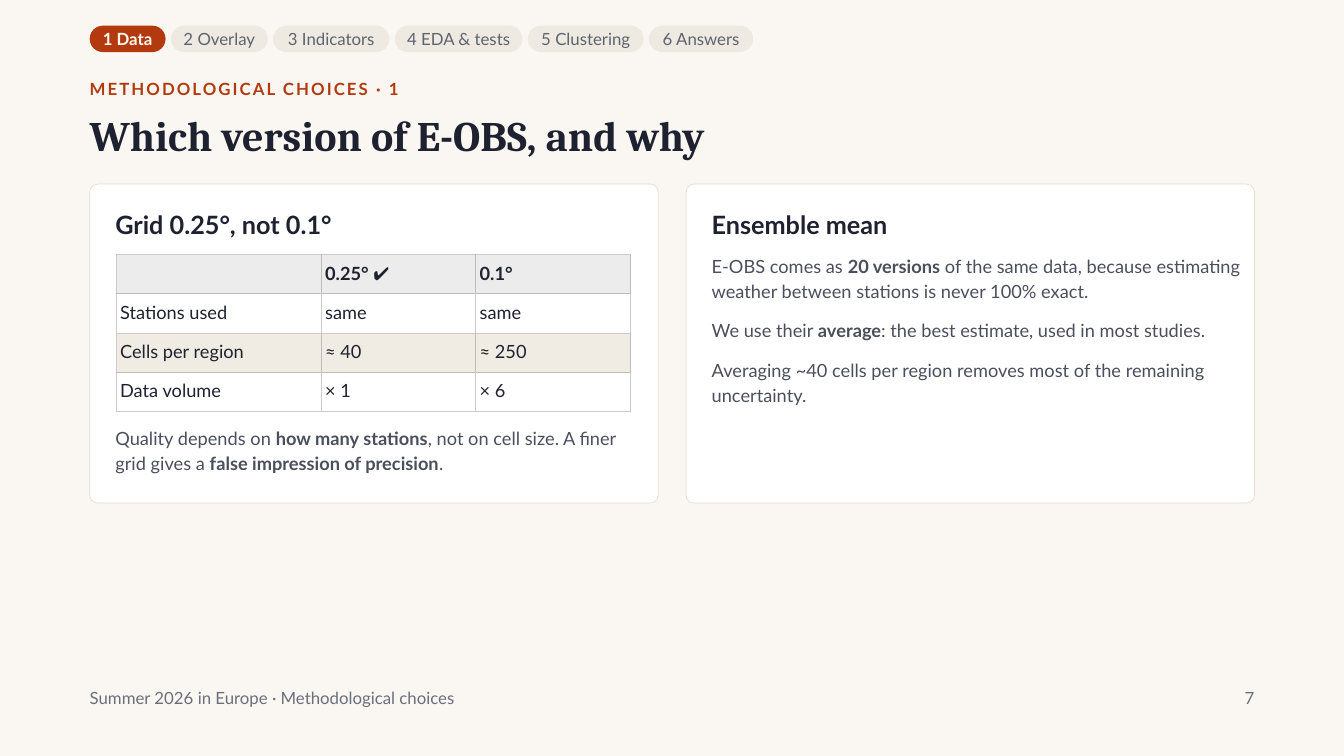
from lxml import etree
from pptx import Presentation
from pptx.dml.color import RGBColor
from pptx.enum.shapes import MSO_SHAPE
from pptx.enum.text import MSO_ANCHOR, PP_ALIGN
from pptx.oxml.ns import qn
from pptx.util import Cm, Pt

ROUND = MSO_SHAPE.ROUNDED_RECTANGLE
MIDDLE = MSO_ANCHOR.MIDDLE
LEFT, CENTER, RIGHT = PP_ALIGN.LEFT, PP_ALIGN.CENTER, PP_ALIGN.RIGHT

PAPER = RGBColor(0xFA, 0xF7, 0xF2)
WHITE = RGBColor(0xFF, 0xFF, 0xFF)
RUST = RGBColor(0xB2, 0x3A, 0x0E)
CREAM = RGBColor(0xFF, 0xF8, 0xF0)
SAND = RGBColor(0xEF, 0xEA, 0xE1)
SLATE = RGBColor(0x5E, 0x63, 0x70)
INK = RGBColor(0x1E, 0x22, 0x30)
BODY = RGBColor(0x4A, 0x4F, 0x5C)
MUTED = RGBColor(0x6B, 0x6F, 0x7B)
EDGE = RGBColor(0xE4, 0xDE, 0xD3)
HEAD = RGBColor(0xEC, 0xEC, 0xEC)
BAND = RGBColor(0xF1, 0xEC, 0xE3)
PALE = RGBColor(0xCB, 0xCB, 0xCB)
GREY = RGBColor(0xBC, 0xBC, 0xBC)
TAN = RGBColor(0xC0, 0xBC, 0xB5)

MARGIN = 3.39
STEPS = [("1 Data", 2.87), ("2 Overlay", 3.66), ("3 Indicators", 4.4),
         ("4 EDA & tests", 4.83), ("5 Clustering", 4.38), ("6 Answers", 3.94)]
STEP_GAP = 0.2
CARD_TOP, CARD_W, CARD_H, CARD_GAP = 6.96, 21.49, 12.06, 1.05
PAD = 0.97
TEXT_W = 20.12

ROWS = [["", "0.25° ✔", "0.1°"],
        ["Stations used", "same", "same"],
        ["Cells per region", "≈ 40", "≈ 250"],
        ["Data volume", "× 1", "× 6"]]
FILLS = [HEAD, None, BAND, None]
TONES = [GREY, PALE, TAN, PALE]
COLS = [7.75, 5.84, 5.84]
ROW_H = 1.48

NOTES = [
    (9.5, TEXT_W, 2.13, "E-OBS comes as *20 versions* of the same data, because "
     "estimating weather between stations is never 100% exact."),
    (11.94, 20.47, 1.17, "We use their *average*: the best estimate, used in most studies."),
    (13.44, TEXT_W, 2.13, "Averaging ~40 cells per region removes most of the "
     "remaining uncertainty."),
]


class Deck:
    font = "Lato"
    serif = "Cambria"

    def __init__(self):
        self.prs = Presentation()
        self.prs.slide_width, self.prs.slide_height = Cm(50.8), Cm(28.58)
        self.slide = self.prs.slides.add_slide(self.prs.slide_layouts[6])
        fill = self.slide.background.fill
        fill.solid()
        fill.fore_color.rgb = PAPER

    def put_runs(self, frame, text, size, color, lead, bold=False, align=LEFT,
                 font=None, track=0):
        para = frame.paragraphs[0]
        para.alignment = align
        para.line_spacing = Pt(lead)
        for i, part in enumerate(text.split("*")):
            run = para.add_run()
            run.text = part
            run.font.name = font or self.font
            run.font.size = Pt(size)
            run.font.bold = bold or i % 2 == 1
            run.font.color.rgb = color
            if track:
                run._r.get_or_add_rPr().set("spc", str(track))

    def inset(self, frame, bottom=0):
        frame.margin_left = frame.margin_right = frame.margin_top = 0
        frame.margin_bottom = Cm(bottom)

    def text(self, x, y, w, h, text, size, color, lead, **look):
        frame = self.slide.shapes.add_textbox(Cm(x), Cm(y), Cm(w), Cm(h)).text_frame
        frame.word_wrap = True
        self.inset(frame)
        self.put_runs(frame, text, size, color, lead, **look)

    def panel(self, x, y, w, h, radius, fill, line=None):
        shape = self.slide.shapes.add_shape(ROUND, Cm(x), Cm(y), Cm(w), Cm(h))
        shape.adjustments[0] = radius
        shape.shadow.inherit = False
        shape.fill.solid()
        shape.fill.fore_color.rgb = fill
        if line is None:
            shape.line.fill.background()
        else:
            shape.line.color.rgb = line
            shape.line.width = Pt(0.75)
        return shape

    def pill(self, x, w, label, active):
        shape = self.panel(x, 0.97, w, 1, 0.5, RUST if active else SAND)
        frame = shape.text_frame
        frame.word_wrap = False
        frame.vertical_anchor = MIDDLE
        self.inset(frame, 0.1)
        self.put_runs(frame, label, 18, CREAM if active else SLATE, 25.2,
                      bold=active, align=CENTER)

    def card(self, x, title):
        self.panel(x, CARD_TOP, CARD_W, CARD_H, 0.025, WHITE, EDGE)
        self.text(x + PAD, 7.92, TEXT_W, 1.24, title, 27, INK, 32.4, bold=True)

    def border(self, cell, **sides):
        props = cell._tc.get_or_add_tcPr()
        for side, color in sides.items():
            line = etree.SubElement(props, qn("a:ln" + side), w=str(Pt(1)))
            solid = etree.SubElement(line, qn("a:solidFill"))
            etree.SubElement(solid, qn("a:srgbClr"), val=str(color))

    def table(self, x, y):
        table = self.slide.shapes.add_table(
            len(ROWS), len(COLS), Cm(x), Cm(y), Cm(sum(COLS)),
            Cm(ROW_H * len(ROWS))).table
        table.first_row = table.horz_banding = False
        for col, width in zip(table.columns, COLS):
            col.width = Cm(width)
        for r, row in enumerate(ROWS):
            table.rows[r].height = Cm(ROW_H)
            for c, label in enumerate(row):
                self.cell(table.cell(r, c), r, c, label)

    def cell(self, cell, r, c, label):
        cell.margin_left = cell.margin_right = Cm(0.15)
        cell.margin_top = cell.margin_bottom = Cm(0.15)
        tone = TONES[r]
        self.border(cell, L=tone if c else PALE, R=tone,
                    T=TONES[r - 1] if r else PALE, B=tone)
        if FILLS[r] is None:
            cell.fill.background()
        else:
            cell.fill.solid()
            cell.fill.fore_color.rgb = FILLS[r]
        if label:
            self.put_runs(cell.text_frame, label, 19.5, INK, 27.3, bold=r == 0)


def main():
    deck = Deck()
    x = MARGIN
    for i, (label, width) in enumerate(STEPS):
        deck.pill(x, width, label, i == 0)
        x += width + STEP_GAP

    deck.text(MARGIN, 2.84, 45.34, 1.09, "METHODOLOGICAL CHOICES · 1", 18, RUST,
              25.2, bold=True, track=220)
    deck.text(MARGIN, 4.24, 45.34, 1.85, "Which version of E-OBS, and why", 45, INK,
              51.7, bold=True, font=deck.serif)

    deck.card(MARGIN, "Grid 0.25°, not 0.1°")
    deck.table(MARGIN + 1, 9.63)
    deck.text(MARGIN + PAD, 16, TEXT_W, 2.13,
              "Quality depends on *how many stations*, not on cell size. "
              "A finer grid gives a *false impression of precision*.",
              19.5, BODY, 27.3)

    right = MARGIN + CARD_W + CARD_GAP
    deck.card(right, "Ensemble mean")
    for y, w, h, note in NOTES:
        deck.text(right + PAD, y, w, h, note, 19.5, BODY, 27.3)

    deck.text(MARGIN, 25.88, 38.15, 1.09,
              "Summer 2026 in Europe · Methodological choices", 18, MUTED, 25.2)
    deck.text(44.02, 25.88, 3.39, 1.09, "7", 18, MUTED, 25.2, align=RIGHT)
    deck.prs.save("out.pptx")


if __name__ == "__main__":
    main()
